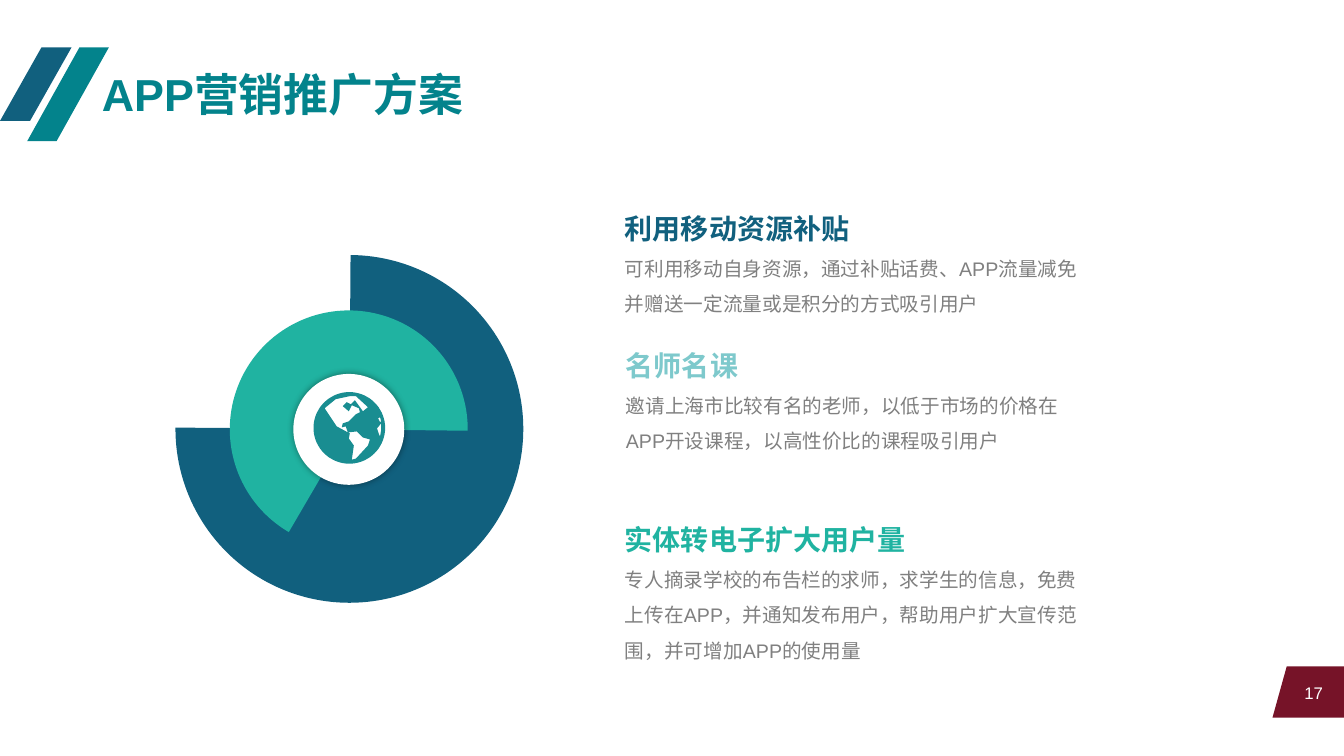
import math
from dataclasses import dataclass

from lxml import etree
from pptx import Presentation
from pptx.dml.color import RGBColor
from pptx.enum import shapes, text
from pptx.oxml import ns
from pptx.util import Inches, Pt

COLORS = {
    "navy": "11607E", "teal": "03838C", "green": "20B3A1", "aqua": "7EC9CC",
    "globe": "198D91", "maroon": "761328", "gray": "808080", "white": "FFFFFF",
}
Box = tuple[float, float, float, float]
Points = list[tuple[float, float]]


@dataclass
class Figure:
    kind: shapes.MSO_SHAPE
    box: Box
    color: str
    adjustments: tuple[float, ...] = ()


@dataclass
class Section:
    box: Box
    color: str
    heading: str
    body: str


STRIPES = [
    Figure(shapes.MSO_SHAPE.PARALLELOGRAM, (0, 0.47, 0.71, 0.73), "navy", (0.58,)),
    Figure(shapes.MSO_SHAPE.PARALLELOGRAM, (0.27, 0.47, 0.81, 0.93), "teal", (0.64,)),
]
# Pie angles in degrees are stored as 0.6 of their value.
PIES = [
    Figure(shapes.MSO_SHAPE.PIE, (1.74, 2.53, 3.45, 3.45), "navy",
           (270.39 * 0.6, 180.43 * 0.6)),
    Figure(shapes.MSO_SHAPE.PIE, (2.28, 3.08, 2.36, 2.36), "green",
           (120.28 * 0.6, 0.68 * 0.6)),
]
HUB = Figure(shapes.MSO_SHAPE.OVAL, (2.91, 3.71, 1.1, 1.1), "white")
NUMBER_TAB = Figure(shapes.MSO_SHAPE.FLOWCHART_MANUAL_INPUT,
                    (12.72, 6.51, 0.51, 0.71), "maroon")

SECTIONS = [
    Section((6.1, 1.88, 4.73, 1.31), "navy", "利用移动资源补贴",
            "可利用移动自身资源，通过补贴话费、APP流量减免并赠送一定流量或是积分的方式吸引用户"),
    Section((6.11, 3.24, 4.73, 1.31), "aqua", "名师名课",
            "邀请上海市比较有名的老师，以低于市场的价格在APP开设课程，以高性价比的课程吸引用户"),
    Section((6.1, 4.97, 4.73, 2.02), "green", "实体转电子扩大用户量",
            "专人摘录学校的布告栏的求师，求学生的信息，免费上传在APP，并通知发布用户，"
            "帮助用户扩大宣传范围，并可增加APP的使用量"),
]

# Coastlines in hundredths of an inch from the globe's left and top.
AMERICAS = [
    (54, 15), (49, 19), (41, 8), (37, 12), (33, 10), (29, 14), (35, 19),
    (38, 13), (45, 16), (46, 20), (42, 22), (35, 29), (29, 31), (28, 35),
    (32, 34), (34, 40), (43, 39), (49, 45), (56, 47), (54, 53), (42, 66),
    (38, 67), (40, 53), (35, 46), (36, 41), (23, 34), (15, 22), (11, 16),
    (22, 7), (36, 4), (42, 4),
]
EUROPE = [(64, 26), (66, 25), (67, 29), (66, 30)]
AFRICA = [(65, 42), (63, 36), (67, 31), (67, 38), (66, 44)]


def rgb(color: str) -> RGBColor:
    return RGBColor.from_string(COLORS[color])


def place(shape, box: Box) -> None:
    shape.left, shape.top, shape.width, shape.height = map(Inches, box)


def paint(shape, color: str) -> None:
    shape.shadow.inherit = False
    shape.fill.solid()
    shape.fill.fore_color.rgb = rgb(color)
    shape.line.fill.background()


def add_figure(parent, figure: Figure):
    shape = parent.add_shape(figure.kind, *map(Inches, figure.box))
    for index, value in enumerate(figure.adjustments):
        shape.adjustments[index] = value
    paint(shape, figure.color)
    return shape


def write(frame, content: str, *, size: float, color: str, bold: bool = False,
          align=text.PP_ALIGN.LEFT, spacing: float = 1.0, new: bool = False) -> None:
    """Fill the first paragraph of the frame, or a further one if new is set."""
    paragraph = frame.add_paragraph() if new else frame.paragraphs[0]
    paragraph.alignment = align
    paragraph.line_spacing = spacing
    run = paragraph.add_run()
    run.text = content
    run.font.name = "Arial"
    run.font.size = Pt(size)
    run.font.bold = bold
    run.font.color.rgb = rgb(color)


def set_frame(shape, anchor=text.MSO_ANCHOR.TOP):
    frame = shape.text_frame
    frame.word_wrap = True
    frame.auto_size = text.MSO_AUTO_SIZE.NONE
    frame.vertical_anchor = anchor
    return frame


def add_glow_shadow(shape) -> None:
    """Give the shape a soft black shadow without offset."""
    effects = shape.element.spPr.find(ns.qn("a:effectLst"))
    shadow = etree.SubElement(effects, ns.qn("a:outerShdw"),
                              blurRad=str(Pt(5)), dist="0", dir="0", algn="ctr")
    black = etree.SubElement(shadow, ns.qn("a:srgbClr"), val="000000")
    etree.SubElement(black, ns.qn("a:alpha"), val="40000")


def circle(radius: float, steps: int = 72) -> Points:
    turns = [math.tau * step / steps for step in range(steps)]
    return [(radius + radius * math.cos(turn), radius + radius * math.sin(turn))
            for turn in turns]


def add_globe(slide) -> None:
    """Draw a disc whose land masses are cut out."""
    left, top, radius = 3110, 3890, 35.5
    contours = [[(left + x * 10, top + y * 10) for x, y in contour]
                for contour in (circle(radius), AMERICAS, EUROPE, AFRICA)]
    builder = slide.shapes.build_freeform(*contours[0][0], scale=Inches(1) / 1000)
    for contour in contours:
        if contour is not contours[0]:
            builder.move_to(*contour[0])
        builder.add_line_segments(contour[1:], close=True)
    paint(builder.convert_to_shape(), "globe")


def add_page_number(slide) -> None:
    tab = add_figure(slide.shapes, NUMBER_TAB)
    tab.rotation = 270
    tab.element.spPr.find(ns.qn("a:xfrm")).set("flipH", "1")
    label = slide.shapes.add_textbox(*map(Inches, (11.84, 6.67, 1.38, 0.4)))
    write(set_frame(label, text.MSO_ANCHOR.MIDDLE), "17", size=12, color="white",
          align=text.PP_ALIGN.RIGHT)


def main() -> None:
    presentation = Presentation()
    presentation.slide_width, presentation.slide_height = Inches(13.33), Inches(7.5)
    slide = presentation.slides.add_slide(presentation.slide_layouts[5])

    title = slide.shapes.title
    place(title, (0.91, 0.61, 3.82, 0.64))
    write(set_frame(title), "APP营销推广方案", size=32, color="teal", bold=True)

    stripes = slide.shapes.add_group_shape()
    for stripe in STRIPES:
        add_figure(stripes.shapes, stripe)
    for pie in PIES:
        add_figure(slide.shapes, pie)
    add_glow_shadow(add_figure(slide.shapes, HUB))
    add_globe(slide)
    add_page_number(slide)

    for section in SECTIONS:
        frame = set_frame(slide.shapes.add_textbox(*map(Inches, section.box)))
        write(frame, section.heading, size=20, color=section.color, bold=True, spacing=1.5)
        write(frame, section.body, size=14, color="gray", spacing=1.5, new=True)

    presentation.save("out.pptx")


if __name__ == "__main__":
    main()
